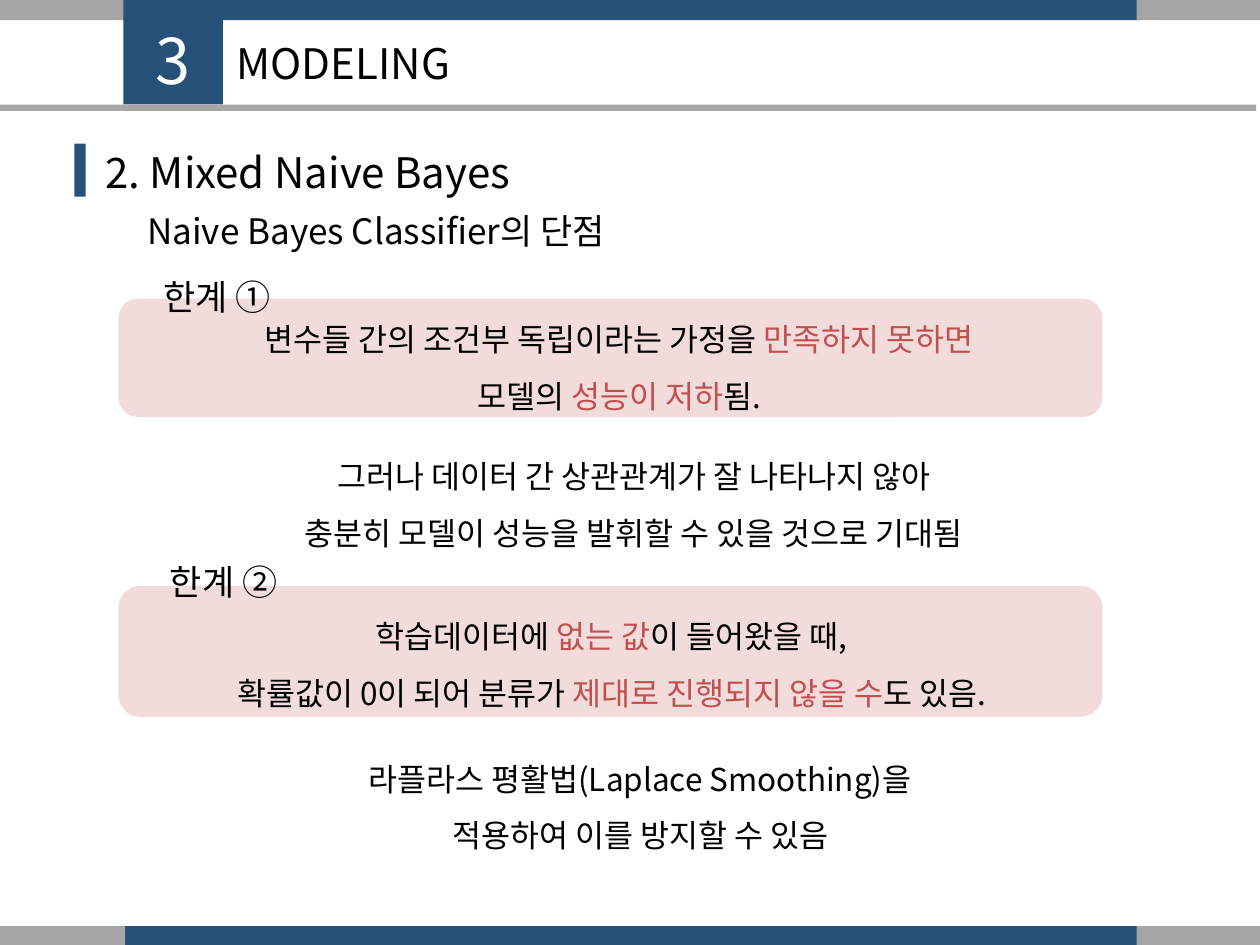
from dataclasses import dataclass

from lxml.etree import SubElement
from pptx import Presentation
from pptx.dml.color import RGBColor
from pptx.enum.shapes import MSO_SHAPE
from pptx.enum.text import MSO_ANCHOR, MSO_AUTO_SIZE, PP_ALIGN
from pptx.oxml.ns import qn
from pptx.slide import Slide
from pptx.util import Emu, Pt

PX = 9144  # EMU in one px, 100 px to the inch


@dataclass(frozen=True)
class Theme:
    navy: str = "28517A"
    band_gray: str = "A5A5A5"
    rule_gray: str = "A6A6A6"
    panel: str = "F2DCDB"
    text: str = "000000"
    accent: str = "C0504D"
    white: str = "FFFFFF"
    font: str = "Noto Sans CJK KR"
    number: int = 36
    title: int = 24
    heading: int = 20
    body: int = 18


THEME = Theme()


@dataclass(frozen=True)
class Area:
    left: int
    top: int
    width: int
    height: int

    def emu(self) -> list[Emu]:
        return [Emu(n * PX) for n in (self.left, self.top, self.width, self.height)]


@dataclass(frozen=True)
class Block:
    area: Area
    color: str
    rounded: bool = False


@dataclass(frozen=True)
class Span:
    text: str
    color: str = THEME.text


@dataclass(frozen=True)
class Label:
    area: Area
    lines: tuple[tuple[Span, ...], ...]
    size: int
    align: PP_ALIGN = PP_ALIGN.LEFT
    spacing: float = 1.0
    anchor: MSO_ANCHOR = MSO_ANCHOR.TOP
    fit: MSO_AUTO_SIZE = MSO_AUTO_SIZE.SHAPE_TO_FIT_TEXT


def set_all(target: object, values: dict) -> None:
    for name, value in values.items():
        setattr(target, name, value)


def accent(text: str) -> Span:
    return Span(text, THEME.accent)


def heading(area: Area, text: str, size: int = THEME.heading) -> Label:
    return Label(area, ((Span(text),),), size)


def body(area: Area, *lines: tuple[Span, ...]) -> Label:
    return Label(area, lines, THEME.body, PP_ALIGN.CENTER, 1.5)


def band(top: int) -> list[Block]:
    """Navy strip with a gray end on each side."""
    return [
        Block(Area(99, top, 806, 16), THEME.navy),
        Block(Area(0, top, 99, 16), THEME.band_gray),
        Block(Area(902, top, 98, 16), THEME.band_gray),
    ]


def draw_block(page: Slide, block: Block) -> None:
    kind = MSO_SHAPE.ROUNDED_RECTANGLE if block.rounded else MSO_SHAPE.RECTANGLE
    box = page.shapes.add_shape(kind, *block.area.emu())
    box.shadow.inherit = False
    box.fill.solid()
    box.fill.fore_color.rgb = RGBColor.from_string(block.color)
    box.line.fill.background()


def draw_label(page: Slide, label: Label) -> None:
    frame = page.shapes.add_textbox(*label.area.emu()).text_frame
    set_all(frame, {
        "word_wrap": True,
        "auto_size": label.fit,
        "vertical_anchor": label.anchor,
    })
    for index, line in enumerate(label.lines):
        para = frame.add_paragraph() if index else frame.paragraphs[0]
        set_all(para, {"alignment": label.align, "line_spacing": label.spacing})
        for part in line:
            span = para.add_run()
            span.text = part.text
            set_all(span.font, {"name": THEME.font, "size": Pt(label.size)})
            span.font.color.rgb = RGBColor.from_string(part.color)
            east_asian = SubElement(span.font._element, qn("a:ea"))
            east_asian.set("typeface", THEME.font)


BLOCKS = [
    *band(0),
    *band(735),
    Block(Area(98, 0, 79, 83), THEME.navy),
    Block(Area(0, 83, 997, 5), THEME.rule_gray),
    Block(Area(59, 114, 9, 42), THEME.navy),
    Block(Area(94, 237, 781, 94), THEME.panel, rounded=True),
    Block(Area(94, 465, 781, 104), THEME.panel, rounded=True),
]

LABELS = [
    Label(Area(94, 12, 87, 71), ((Span("3", THEME.white),),), THEME.number, PP_ALIGN.CENTER),
    Label(Area(178, 14, 628, 72), ((Span("MODELING"),),), THEME.title,
          anchor=MSO_ANCHOR.MIDDLE, fit=MSO_AUTO_SIZE.NONE),
    heading(Area(74, 111, 450, 74), "2. Mixed Naive Bayes", THEME.title),
    heading(Area(107, 161, 690, 44), "Naive Bayes Classifier의 단점"),
    heading(Area(120, 214, 126, 44), "한계 ①"),
    body(
        Area(130, 234, 723, 101),
        (Span("변수들 간의 조건부 독립이라는 가정을 "), accent("만족하지 못하면")),
        (Span("모델의 "), accent("성능이 저하"), Span("됨.")),
    ),
    body(
        Area(179, 343, 648, 97),
        (Span("그러나 데이터 간 상관관계가 잘 나타나지 않아"),),
        (Span("충분히 모델이 성능을 발휘할 수 있을 것으로 기대됨"),),
    ),
    heading(Area(125, 440, 107, 44), "한계 ②"),
    body(
        Area(124, 470, 723, 101),
        (Span("학습데이터에 "), accent("없는 값"), Span("이 들어왔을 때,")),
        (Span("확률값이 0이 되어 분류가 "), accent("제대로 진행되지 않을 수"), Span("도 있음.")),
    ),
    body(
        Area(151, 583, 714, 97),
        (Span("라플라스 평활법(Laplace Smoothing)을"),),
        (Span("적용하여 이를 방지할 수 있음"),),
    ),
]


def main() -> None:
    deck = Presentation()
    set_all(deck, {"slide_width": Emu(1000 * PX), "slide_height": Emu(750 * PX)})
    page = deck.slides.add_slide(deck.slide_layouts[6])
    for block in BLOCKS:
        draw_block(page, block)
    for label in LABELS:
        draw_label(page, label)
    deck.save("out.pptx")


if __name__ == "__main__":
    main()
